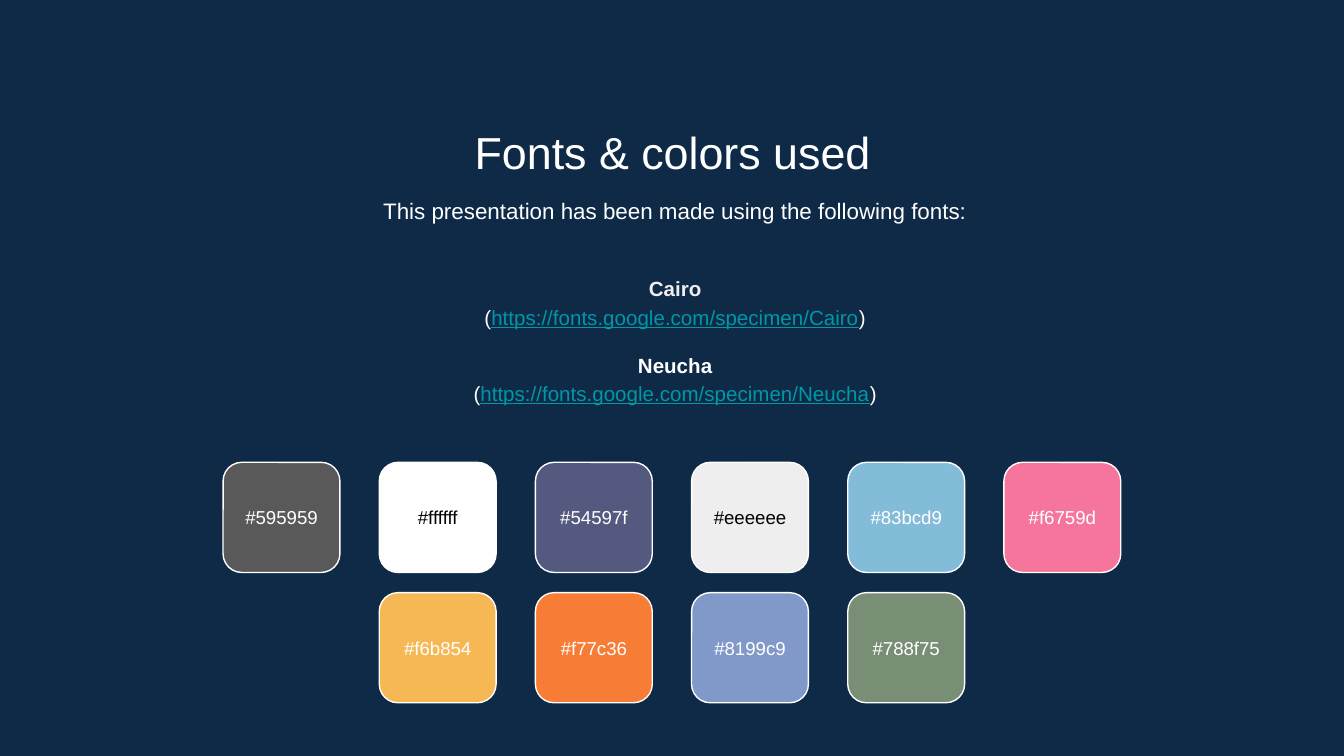
from pptx import Presentation
from pptx.dml.color import RGBColor
from pptx.enum.shapes import MSO_SHAPE
from pptx.enum.text import MSO_ANCHOR, PP_ALIGN
from pptx.util import Pt

# Content
WHITE, BLACK, PALE, TEAL, NAVY = "FFFFFF", "000000", "EFEFEF", "0097A7", "0E2A47"
TITLE = "Fonts & colors used"
INTRO = "This presentation has been made using the following fonts:"
FONTS = [  # name, name colour, address, space before
    ("Cairo", PALE, "https://fonts.google.com/specimen/Cairo", 0),
    ("Neucha", WHITE, "https://fonts.google.com/specimen/Neucha", 10.6),
]
SWATCH_ROWS = [  # swatch colour, label colour
    [("595959", WHITE), ("ffffff", BLACK), ("54597f", WHITE),
     ("eeeeee", BLACK), ("83bcd9", WHITE), ("f6759d", WHITE)],
    [("f6b854", WHITE), ("f77c36", WHITE), ("8199c9", WHITE), ("788f75", WHITE)],
]

# Layout in points
SLIDE_WIDTH, SLIDE_HEIGHT = 720, 405
SWATCH_WIDTH, SWATCH_HEIGHT = 62.6, 59
COLUMN_STEP, ROW_STEP, SWATCH_TOP = 83.66, 69.8, 247.7
LABEL_HEIGHT = 34.6


def color(hex_string):
    return RGBColor.from_string(hex_string.upper())


def add_text_box(left, top, width, height, anchor=MSO_ANCHOR.TOP):
    frame = slide.shapes.add_textbox(Pt(left), Pt(top), Pt(width), Pt(height)).text_frame
    frame.word_wrap = True
    frame.vertical_anchor = anchor
    frame.margin_left = frame.margin_right = Pt(7.2)
    frame.margin_top = frame.margin_bottom = Pt(7.2)
    return frame


def format_paragraph(paragraph, line_spacing=1.0, space_before=0):
    paragraph.alignment = PP_ALIGN.CENTER
    paragraph.line_spacing = line_spacing
    paragraph.space_before = Pt(space_before)
    return paragraph


def add_run(paragraph, text, size, text_color=WHITE, bold=False, underline=False):
    run = paragraph.add_run()
    run.text = text
    run.font.name = "Arial"
    run.font.size = Pt(size)
    run.font.color.rgb = color(text_color)
    run.font.bold = bold
    run.font.underline = underline


presentation = Presentation()
presentation.slide_width, presentation.slide_height = Pt(SLIDE_WIDTH), Pt(SLIDE_HEIGHT)
slide = presentation.slides.add_slide(presentation.slide_layouts[6])
slide.background.fill.solid()
slide.background.fill.fore_color.rgb = color(NAVY)

# Title and introduction
title = add_text_box(82.8, 56.9, 555, 38.2)
add_run(format_paragraph(title.paragraphs[0], 1.1), TITLE, 24)
intro = add_text_box(84.2, 96.5, 555, 34.6)
add_run(format_paragraph(intro.paragraphs[0], 1.15), INTRO, 12)

# Font names with their addresses
font_list = add_text_box(84.2, 132.5, 555, 98.6, MSO_ANCHOR.MIDDLE)
for index, (name, name_color, address, space_before) in enumerate(FONTS):
    heading = font_list.add_paragraph() if index else font_list.paragraphs[0]
    format_paragraph(heading, 1.15, space_before)
    add_run(heading, name, 11, name_color, bold=True)
    link_line = format_paragraph(font_list.add_paragraph(), 1.15)
    add_run(link_line, "(", 11)
    add_run(link_line, address, 11, TEAL, underline=True)
    add_run(link_line, ")", 11)

# Colour swatches, each row centred on the slide
for row, swatches in enumerate(SWATCH_ROWS):
    row_width = (len(swatches) - 1) * COLUMN_STEP + SWATCH_WIDTH
    top = SWATCH_TOP + row * ROW_STEP
    for column, (swatch_color, label_color) in enumerate(swatches):
        left = (SLIDE_WIDTH - row_width) / 2 + column * COLUMN_STEP
        swatch = slide.shapes.add_shape(
            MSO_SHAPE.ROUNDED_RECTANGLE, Pt(left), Pt(top), Pt(SWATCH_WIDTH), Pt(SWATCH_HEIGHT))
        swatch.adjustments[0] = 0.17
        swatch.shadow.inherit = False
        swatch.fill.solid()
        swatch.fill.fore_color.rgb = color(swatch_color)
        swatch.line.color.rgb = color(WHITE)
        swatch.line.width = Pt(0.75)
        label_top = top + (SWATCH_HEIGHT - LABEL_HEIGHT) / 2
        label = add_text_box(left, label_top, SWATCH_WIDTH, LABEL_HEIGHT, MSO_ANCHOR.MIDDLE)
        add_run(format_paragraph(label.paragraphs[0]), "#" + swatch_color, 10, label_color)

presentation.save("out.pptx")
